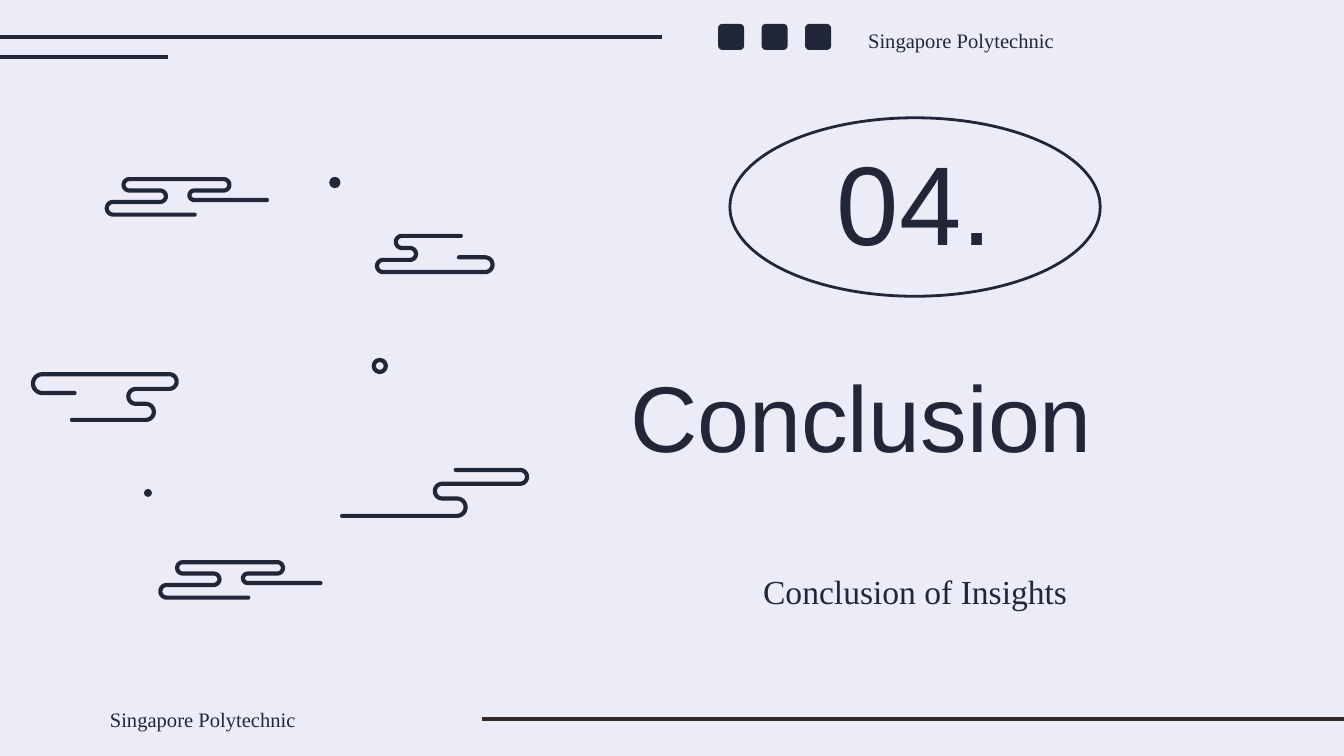
from math import cos, pi, sin

from lxml.etree import SubElement
from pptx import Presentation
from pptx.dml.color import RGBColor
from pptx.enum.shapes import MSO_CONNECTOR, MSO_SHAPE
from pptx.enum.text import MSO_ANCHOR, PP_ALIGN
from pptx.oxml.ns import qn
from pptx.util import Pt

INK, PAPER, BROWN = "212739", "ECEBF8", "302926"
SANS, SERIF = "Arial", "Times New Roman"
THICK = 2.25

# Each cloud: start point, turns (outer x of the turn, y after it), end x
CURL = (48.3, 20), [(1.2, 13.2), (32.9, 7.1), (10.2, 1), (66.9, 7.1), (45.5, 12.2)], 87
HOOK = (46, 1.1), [(11.2, 7.6), (22, 14), (1.1, 20.5), (63, 12.6)], 45
WAVE = (23.4, 11.2), [(1.1, 1.1), (78.1, 9), (52.2, 17), (65.9, 25.6)], 22
TAIL = (62, 1.2), [(100.2, 8.6), (50.8, 16.5), (67.3, 25.8)], 1.1


def color(code):
    return RGBColor.from_string(code)


def add_line(slide, x1, x2, y, code):
    line = slide.shapes.add_connector(
        MSO_CONNECTOR.STRAIGHT, Pt(x1), Pt(y), Pt(x2), Pt(y))
    line.line.color.rgb = color(code)
    line.line.width = Pt(THICK)
    SubElement(line._element.spPr, qn("a:effectLst"))


def paint(shape, fill=None, width=None):
    shape.shadow.inherit = False
    if fill:
        shape.fill.solid()
        shape.fill.fore_color.rgb = color(fill)
    else:
        shape.fill.background()
    if width:
        shape.line.color.rgb = color(INK)
        shape.line.width = Pt(width)
    else:
        shape.line.fill.background()


def add_form(slide, kind, box, fill=None, width=None):
    paint(slide.shapes.add_shape(kind, *map(Pt, box)), fill, width)


def add_text(slide, text, box, font, size, align=PP_ALIGN.LEFT,
             anchor=MSO_ANCHOR.MIDDLE, top=7.2):
    frame = slide.shapes.add_textbox(*map(Pt, box)).text_frame
    frame.word_wrap = True
    frame.vertical_anchor = anchor
    frame.margin_left = frame.margin_right = frame.margin_bottom = Pt(7.2)
    frame.margin_top = Pt(top)
    frame.text = text
    para = frame.paragraphs[0]
    para.alignment = align
    para.font.name = font
    para.font.size = Pt(size)
    para.font.color.rgb = color(INK)


def add_cloud(slide, left, top, cloud, steps=12):
    (x, y), turns, end = cloud
    points = [(x, y)]
    for edge, low in turns:
        # Half circle from the current level to the next one
        side = 1 if edge > x else -1
        mid, half = (y + low) / 2, (low - y) / 2
        x = edge - side * abs(half)
        for step in range(steps + 1):
            turn = pi * step / steps
            points.append((x + side * abs(half) * sin(turn),
                           mid - half * cos(turn)))
        y = low
    points.append((end, y))
    spots = [(Pt(left + px), Pt(top + py)) for px, py in points]
    pen = slide.shapes.build_freeform(*spots[0])
    pen.add_line_segments(spots[1:], close=False)
    shape = pen.convert_to_shape()
    paint(shape, width=THICK)
    shape._element.spPr.find(qn("a:ln")).set("cap", "rnd")


def main():
    deck = Presentation()
    deck.slide_width, deck.slide_height = Pt(720), Pt(405)
    slide = deck.slides.add_slide(deck.slide_layouts[6])
    slide.background.fill.solid()
    slide.background.fill.fore_color.rgb = color(PAPER)

    # Rules at the top and bottom
    add_line(slide, -7.2, 354.8, 19.8, INK)
    add_line(slide, -7.2, 90, 30.6, INK)
    add_line(slide, 258.3, 780.5, 385.2, BROWN)

    # Section number, title and subtitle
    add_form(slide, MSO_SHAPE.OVAL, (391, 63.1, 198.4, 95.6), width=1.5)
    add_text(slide, "Conclusion", (330.5, 173.5, 347, 98), SANS, 50)
    add_text(slide, "04.", (391, 77.8, 198, 66.2), SANS, 60,
             PP_ALIGN.CENTER, top=0)
    add_text(slide, "Conclusion of Insights", (316.8, 298.8, 347, 56.2),
             SERIF, 18, PP_ALIGN.CENTER, MSO_ANCHOR.TOP)

    # Clouds
    for left, top, cloud in ((56, 95, CURL), (200.9, 125.3, HOOK),
                             (16.6, 199.4, WAVE), (182.2, 250.6, TAIL),
                             (84.7, 300.2, CURL)):
        add_cloud(slide, left, top, cloud)

    # Dots and ring
    add_form(slide, MSO_SHAPE.OVAL, (176.4, 94.8, 6, 6), INK)
    add_form(slide, MSO_SHAPE.OVAL, (77.2, 262, 4.2, 4.2), INK)
    add_form(slide, MSO_SHAPE.OVAL, (200.2, 192.8, 6.5, 6.5), width=THICK)

    # Plain marks beside the header
    for place in range(3):
        add_form(slide, MSO_SHAPE.ROUNDED_RECTANGLE,
                 (384.7 + 23.3 * place, 12.8, 14, 14), INK)

    # Header and footer
    for left, top in ((51.8, 373.7), (458, 10.1)):
        add_text(slide, "Singapore Polytechnic", (left, top, 211, 23),
                 SERIF, 11)

    deck.save("out.pptx")


if __name__ == "__main__":
    main()
